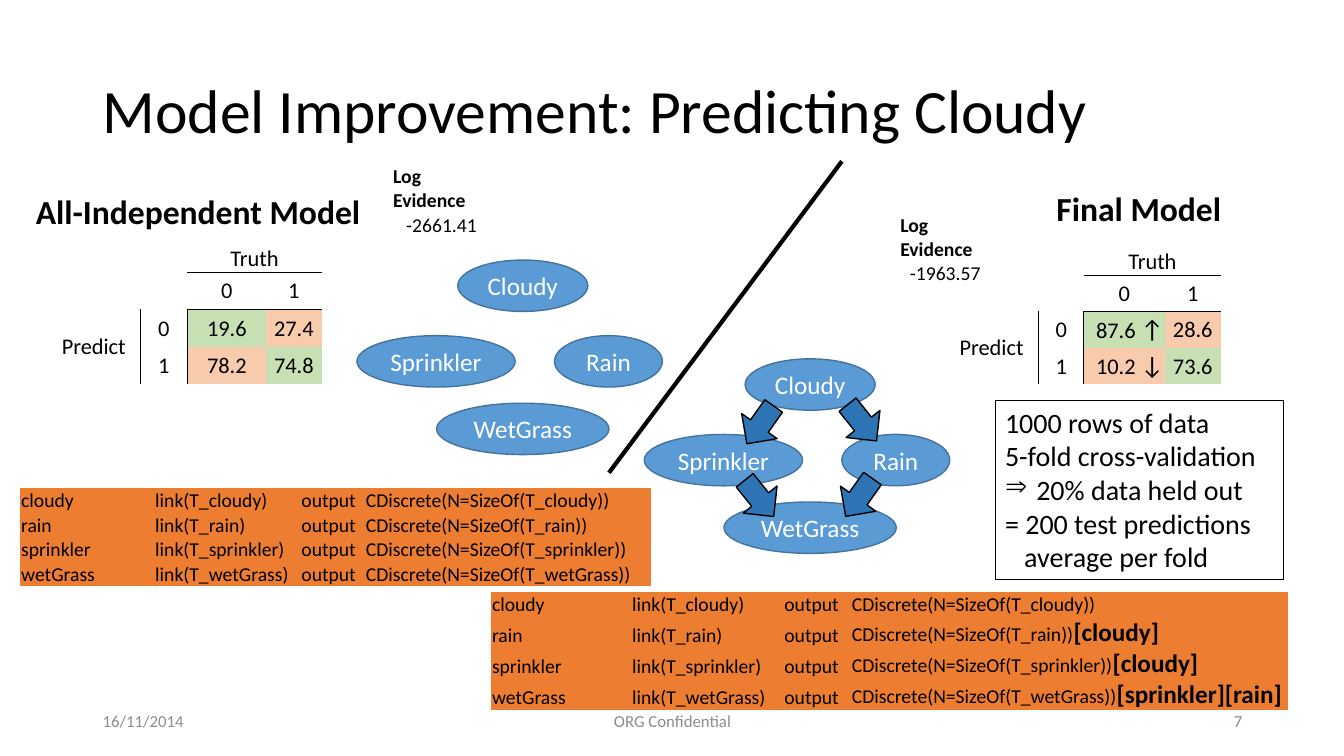
from lxml import etree
from pptx import Presentation
from pptx.dml.color import RGBColor
from pptx.enum.shapes import MSO_CONNECTOR, MSO_SHAPE
from pptx.enum.text import MSO_ANCHOR, PP_ALIGN
from pptx.oxml.ns import qn
from pptx.util import Pt

PX = 9144
FONT = "Calibri"
BLACK = RGBColor(0x00, 0x00, 0x00)
WHITE = RGBColor(0xFF, 0xFF, 0xFF)
GREY = RGBColor(0x8C, 0x8C, 0x8C)
ORANGE = RGBColor(0xED, 0x7D, 0x31)
GREEN = RGBColor(0xC6, 0xE0, 0xB4)
PEACH = RGBColor(0xF8, 0xCB, 0xAD)
BLUE = RGBColor(0x5B, 0x9B, 0xD5)
NAVY = RGBColor(0x43, 0x73, 0x9E)
ARROW = RGBColor(0x2E, 0x75, 0xB6)
LEFT, MID, RIGHT = PP_ALIGN.LEFT, PP_ALIGN.CENTER, PP_ALIGN.RIGHT
TOP, MIDDLE, BOTTOM = MSO_ANCHOR.TOP, MSO_ANCHOR.MIDDLE, MSO_ANCHOR.BOTTOM
OVAL, RECT, POINTER = MSO_SHAPE.OVAL, MSO_SHAPE.RECTANGLE, MSO_SHAPE.RIGHT_ARROW
STRAIGHT = MSO_CONNECTOR.STRAIGHT

NODES = [("Cloudy", 100, 0, 129), ("Sprinkler", 0, 75, 157),
         ("Rain", 196, 75, 107), ("WetGrass", 79, 142, 171)]
LINKS = [(193, 42, 51.3), (91, 117, 51.3), (92, 44, 125.3), (190, 116, 125.3)]
VARS = ["cloudy", "rain", "sprinkler", "wetGrass"]
SIDES = [["", "", "B", "B"], ["", "", "TB", "TB"],
         ["R", "LR", "LT", "T"], ["R", "LR", "L", ""]]


def px(*sizes):
    """Turn px lengths into EMU."""
    return [round(size * PX) for size in sizes]


def add_run(para, text, size, color=BLACK, bold=False):
    """Add one styled run to a paragraph."""
    run = para.add_run()
    run.text = text
    font = run.font
    font.name, font.size, font.bold = FONT, Pt(size), bold
    font.color.rgb = color


def add_text(slide, box, text, size, align=LEFT, color=BLACK, bold=False,
             anchor=MIDDLE, wrap=True, space=1.0):
    """Place one line of text in a box."""
    frame = slide.shapes.add_textbox(*px(*box)).text_frame
    frame.word_wrap, frame.vertical_anchor = wrap, anchor
    para = frame.paragraphs[0]
    para.alignment, para.line_spacing = align, space
    add_run(para, text, size, color, bold)


def add_form(slide, kind, box, fill, edge, width=1):
    """Place a preset shape with its fill and line."""
    form = slide.shapes.add_shape(kind, *px(*box))
    form.shadow.inherit = False
    if fill is None:
        form.fill.background()
    else:
        form.fill.solid()
        form.fill.fore_color.rgb = fill
    form.line.color.rgb = edge
    form.line.width = Pt(width)
    return form


def add_grid(slide, x, y, cols, rows):
    """Place a plain table with the given column and row sizes."""
    box = px(x, y, sum(cols), sum(rows))
    table = slide.shapes.add_table(len(rows), len(cols), *box).table
    table.first_row = table.horz_banding = False
    for col, size in zip(table.columns, px(*cols)):
        col.width = size
    for row, size in zip(table.rows, px(*rows)):
        row.height = size
    return table


def set_cell(cell, runs, align=LEFT, anchor=BOTTOM, fill=None, sides=""):
    """Write a cell and set its borders and fill."""
    cell.margin_left = cell.margin_right = cell.margin_top = PX
    cell.margin_bottom = 0
    cell.vertical_anchor = anchor
    props = cell._tc.get_or_add_tcPr()
    for side in "LRTB":
        edge = etree.SubElement(props, qn("a:ln" + side), w=str(Pt(1)))
        if side in sides:
            paint = etree.SubElement(edge, qn("a:solidFill"))
            etree.SubElement(paint, qn("a:srgbClr"), val=str(BLACK))
        else:
            etree.SubElement(edge, qn("a:noFill"))
    if fill is None:
        cell.fill.background()
    else:
        cell.fill.solid()
        cell.fill.fore_color.rgb = fill
    para = cell.text_frame.paragraphs[0]
    para.alignment = align
    for text, size, bold in runs:
        add_run(para, text, size, bold=bold)


def add_code(slide, x, y, cols, rows, extras):
    """Place the model table, with parents in bold."""
    table = add_grid(slide, x, y, cols, rows)
    for r, (name, extra) in enumerate(zip(VARS, extras)):
        texts = [name, f"link(T_{name})", "output",
                 f"CDiscrete(N=SizeOf(T_{name}))"]
        for c, text in enumerate(texts):
            runs = [(text, 14, False)]
            if c == 3 and extra:
                runs.append((extra, 18, True))
            set_cell(table.cell(r, c), runs, fill=ORANGE)


def add_score(slide, x, y, width, value):
    """Place the log evidence of a model."""
    table = add_grid(slide, x, y, [width], [48, 24])
    set_cell(table.cell(0, 0), [("Log Evidence", 14, True)])
    set_cell(table.cell(1, 0), [(value, 14, False)], RIGHT)


def add_truth(slide, x, y, cols, height, rates):
    """Place the table of predictions against truth."""
    table = add_grid(slide, x, y, cols, [height] * 4)
    table.cell(0, 2).merge(table.cell(0, 3))
    table.cell(2, 0).merge(table.cell(3, 0))
    texts = [["", "", ["Truth"], ""], ["", "", ["0"], ["1"]],
             [["Predict"], ["0"], *rates[0]], ["", ["1"], *rates[1]]]
    for r, row in enumerate(texts):
        for c, parts in enumerate(row):
            runs = [(part, 18 if i else 16, False)
                    for i, part in enumerate(parts)]
            fill = None
            if r > 1 and c > 1:
                fill = GREEN if r == c else PEACH
            set_cell(table.cell(r, c), runs, RIGHT if len(runs) > 1 else MID,
                     MIDDLE if r else BOTTOM, fill, SIDES[r][c])


def add_net(slide, x, y, links):
    """Place the four nodes and the arrows between them."""
    for name, dx, dy, width in NODES:
        node = add_form(slide, OVAL, (x + dx, y + dy, width, 51), BLUE, NAVY)
        frame = node.text_frame
        frame.word_wrap, frame.vertical_anchor = False, MIDDLE
        frame.paragraphs[0].alignment = MID
        add_run(frame.paragraphs[0], name, 18, WHITE)
    for dx, dy, turn in links:
        link = add_form(slide, POINTER, (x + dx, y + dy, 46, 43), ARROW, BLACK)
        link.rotation = turn


def add_split(slide, x1, y1, x2, y2):
    """Draw the line between the two models."""
    line = slide.shapes.add_connector(STRAIGHT, *px(x1, y1, x2, y2))
    line.line.color.rgb = BLACK
    line.line.width = Pt(3)
    etree.SubElement(line._element.spPr, qn("a:effectLst"))


def add_note(slide, box):
    """Place the framed note on the test data."""
    frame = add_form(slide, RECT, box, None, BLACK, 0.75).text_frame
    frame.word_wrap, frame.vertical_anchor = True, TOP
    lines = [("1000 rows of data", 0, ""), ("5-fold cross-validation", 0, ""),
             ("20% data held out", 31, "⇒"), ("= 200 test predictions", 0, ""),
             ("average per fold", 19, "")]
    for i, (text, inset, mark) in enumerate(lines):
        para = frame.add_paragraph() if i else frame.paragraphs[0]
        para.alignment = LEFT
        props = para._p.get_or_add_pPr()
        props.set("marL", str(inset * PX))
        if mark:
            props.set("indent", str(-inset * PX))
            etree.SubElement(props, qn("a:buChar"), char=mark)
        add_run(para, text, 20)


def add_foot(slide, y):
    """Place date, footer and slide number."""
    for x, width, text, align in [(92, 300, "16/11/2014", LEFT),
                                  (442, 450, "ORG Confidential", MID),
                                  (942, 300, "7", RIGHT)]:
        add_text(slide, (x, y, width, 40), text, 12, align, GREY)


def main():
    """Build the slide and save it."""
    deck = Presentation()
    deck.slide_width, deck.slide_height = px(1333, 750)
    slide = deck.slides.add_slide(deck.slide_layouts[6])
    add_text(slide, (92, 40, 1150, 145),
             "Model Improvement: Predicting Cloudy", 44, space=0.9)
    add_foot(slide, 695)
    add_code(slide, 20, 484, [133, 145, 64, 284], [24] * 4, [""] * 4)
    add_code(slide, 487, 587, [139, 151, 67, 434], [24, 31, 31, 31],
             ["", "[cloudy]", "[cloudy]", "[sprinkler][rain]"])
    add_score(slide, 389, 163, 85, "-2661.41")
    add_score(slide, 892, 211, 86, "-1963.57 ")
    add_net(slide, 354, 258, [])
    add_net(slide, 639, 356, LINKS)
    add_split(slide, 835, 160, 604, 469)
    for text, box in [("All-Independent Model", (24, 184, 345, 50)),
                      ("Final Model", (1037, 182, 185, 50))]:
        add_text(slide, box, text, 24, MID, bold=True, anchor=TOP, wrap=False)
    add_truth(slide, 47, 233, [92, 47, 78, 55], 37,
              [[["19.6"], ["27.4"]], [["78.2"], ["74.8"]]])
    add_truth(slide, 937, 237, [93, 45, 80, 56], 36,
              [[["87.6 ", "↑"], ["28.6"]], [["10.2 ", "↓"], ["73.6"]]])
    add_note(slide, (987, 397, 286, 178))
    deck.save("out.pptx")


if __name__ == "__main__":
    main()
